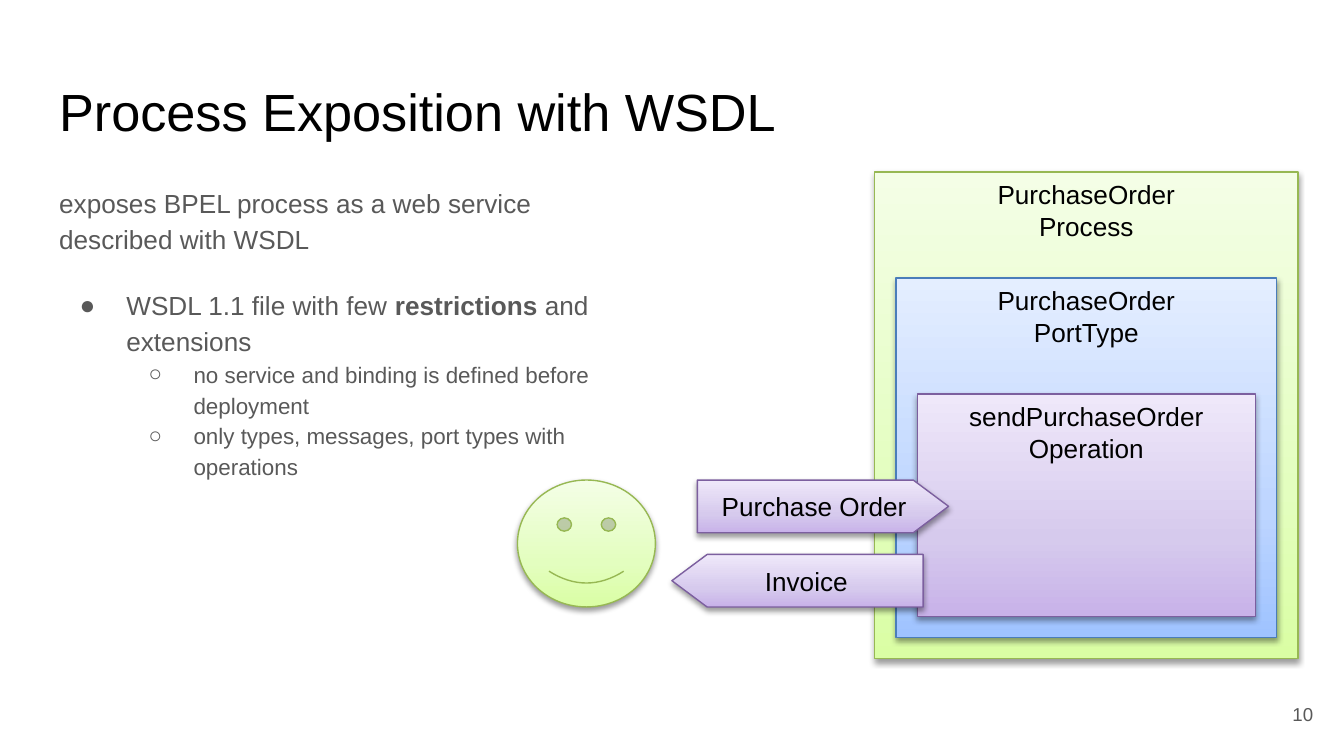
from copy import deepcopy

from pptx import Presentation
from pptx.dml.color import RGBColor
from pptx.enum.shapes import MSO_SHAPE as SHAPE
from pptx.enum.text import MSO_ANCHOR as ANCHOR, MSO_AUTO_SIZE as AUTO, PP_ALIGN as ALIGN
from pptx.oxml import parse_xml
from pptx.oxml.ns import nsdecls, qn
from pptx.util import Pt

BLACK = RGBColor(0x00, 0x00, 0x00)
GRAY = RGBColor(0x59, 0x59, 0x59)

# Palette: gradient from bottom to top, then outline
GREEN = [RGBColor.from_string(c) for c in ("DAFEA4", "E3FEBF", "F4FEE6", "97B853")]
BLUE = [RGBColor.from_string(c) for c in ("9FC3FF", "BDD5FF", "E4EEFF", "4A7DBA")]
PURPLE = [RGBColor.from_string(c) for c in ("C8B2E9", "D6CAED", "EFE8FA", "7C5F9F")]
STOPS = (0, 0.35, 1)

# Content
TITLE = "Process Exposition with WSDL"
PAGE = "10"
BODY = [  # level, size, space before, bullet, left margin, hanging, runs (text, bold)
    (0, 14, 0, None, 0, 0,
     [("exposes BPEL process as a web service described with WSDL", False)]),
    (0, 14, 16, "●", 36, 25,
     [("WSDL 1.1 file with few ", False), ("restrictions", True), (" and extensions", False)]),
    (1, 12, 0, "○", 72, 24,
     [("no service and binding is defined before deployment", False)]),
    (1, 12, 0, "○", 72, 24,
     [("only types, messages, port types with operations", False)]),
]
BOXES = [  # lines, top, palette
    (["PurchaseOrder", "Process"], 92.2, GREEN),
    (["PurchaseOrder", "PortType"], 149, BLUE),
    (["sendPurchaseOrder", "Operation"], 211, PURPLE),
]
MESSAGES = [  # text, left, top, pointing left
    ("Purchase Order", 373.6, 257.2, False),
    ("Invoice", 360, 297, True),
]
BOX_LEFT, BOX_RIGHT, BOX_BOTTOM, BOX_INSET = 468.6, 695.4, 353, 11.4


def put(obj, **values):
    for name, value in values.items():
        setattr(obj, name, value)


def place(shape, left, top, width, height):
    put(shape, left=Pt(left), top=Pt(top), width=Pt(width), height=Pt(height))


def frame(shape, anchor, side=7.2, edge=7.2):
    tf = shape.text_frame
    put(tf, word_wrap=True, auto_size=AUTO.NONE, vertical_anchor=anchor,
        margin_left=Pt(side), margin_right=Pt(side),
        margin_top=Pt(edge), margin_bottom=Pt(edge))
    return tf


def add_run(p, text, size, color, bold=False):
    r = p.add_run()
    r.text = text
    put(r.font, name="Arial", size=Pt(size), bold=bold)
    r.font.color.rgb = color


def add_bullet(p, char, margin, hanging):
    pPr = p._p.get_or_add_pPr()
    pPr.set("marL", str(Pt(margin)))
    pPr.set("indent", str(-Pt(hanging)))
    if char is None:
        pPr.append(parse_xml(f"<a:buNone {nsdecls('a')}/>"))
        return
    for xml in (f'<a:buClr {nsdecls("a")}><a:srgbClr val="{GRAY}"/></a:buClr>',
                f'<a:buFont {nsdecls("a")} typeface="Arial"/>',
                f'<a:buChar {nsdecls("a")} char="{char}"/>'):
        pPr.append(parse_xml(xml))


def add_figure(kind, at, palette, lines=(), anchor=ANCHOR.TOP):
    shape = s.shapes.add_shape(kind, *map(Pt, at))
    # Three-stop vertical gradient
    shape.fill.gradient()
    shape.fill.gradient_angle = 90
    gs_list = shape._element.spPr.find(qn("a:gradFill")).find(qn("a:gsLst"))
    gs_list.insert(1, deepcopy(gs_list[0]))
    for stop, position, color in zip(shape.fill.gradient_stops, STOPS, palette):
        stop.position = position
        stop.color.rgb = color
    shape.line.color.rgb = palette[-1]
    shape.line.width = Pt(0.75)
    # Soft shadow straight below
    shape._element.spPr.append(parse_xml(
        f'<a:effectLst {nsdecls("a")}><a:outerShdw blurRad="{Pt(3.1)}" dist="{Pt(1.6)}" '
        'dir="5400000" rotWithShape="0"><a:srgbClr val="000000"><a:alpha val="38000"/>'
        '</a:srgbClr></a:outerShdw></a:effectLst>'))
    tf = frame(shape, anchor, edge=3.6)
    for i, line in enumerate(lines):
        p = tf.add_paragraph() if i else tf.paragraphs[0]
        p.alignment = ALIGN.CENTER
        add_run(p, line, 14, BLACK)
    return shape


prs = Presentation()
put(prs, slide_width=Pt(720), slide_height=Pt(405))
s = prs.slides.add_slide(prs.slide_layouts[1])

# Title
title = s.shapes.title
place(title, 24.5, 35, 671, 45)
p = frame(title, ANCHOR.TOP).paragraphs[0]
p.alignment = ALIGN.LEFT
add_run(p, TITLE, 28, BLACK)

# Body list
body = s.placeholders[1]
place(body, 24.5, 90.7, 314.6, 269)
tf = frame(body, ANCHOR.TOP)
for i, (level, size, before, char, margin, hanging, runs) in enumerate(BODY):
    p = tf.add_paragraph() if i else tf.paragraphs[0]
    put(p, level=level, line_spacing=1.15, space_before=Pt(before), space_after=Pt(0))
    add_bullet(p, char, margin, hanging)
    for text, bold in runs:
        add_run(p, text, size, GRAY, bold)

# Slide number
number = s.shapes.add_textbox(*map(Pt, (667.4, 367.2, 43.2, 31)))
p = frame(number, ANCHOR.MIDDLE).paragraphs[0]
p.alignment = ALIGN.RIGHT
add_run(p, PAGE, 10, GRAY)

# Nested process boxes
for i, (lines, top, palette) in enumerate(BOXES):
    inset = i * BOX_INSET
    add_figure(SHAPE.RECTANGLE,
               (BOX_LEFT + inset, top, BOX_RIGHT - BOX_LEFT - 2 * inset,
                BOX_BOTTOM - inset - top),
               palette, lines)

# Client
client = add_figure(SHAPE.SMILEY_FACE, (277.2, 257.2, 73.9, 68), GREEN)
client.adjustments[0] = 0.0465

# Messages
for text, left, top, to_left in MESSAGES:
    arrow = add_figure(SHAPE.PENTAGON, (left, top, 134.6, 28.2), PURPLE, [text], ANCHOR.MIDDLE)
    arrow.adjustments[0] = 0.67
    if to_left:
        arrow._element.spPr.find(qn("a:xfrm")).set("flipH", "1")

prs.save("out.pptx")
